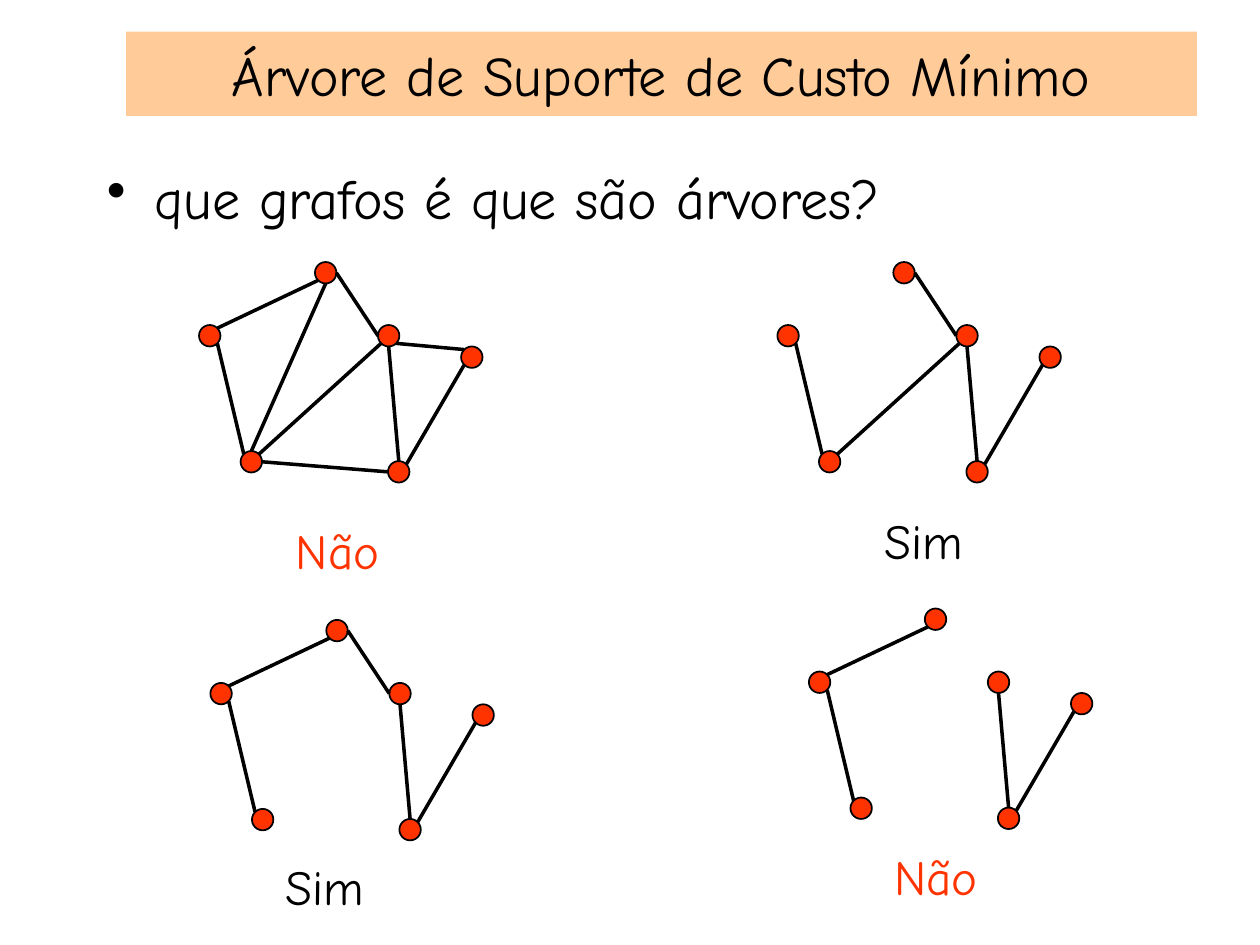
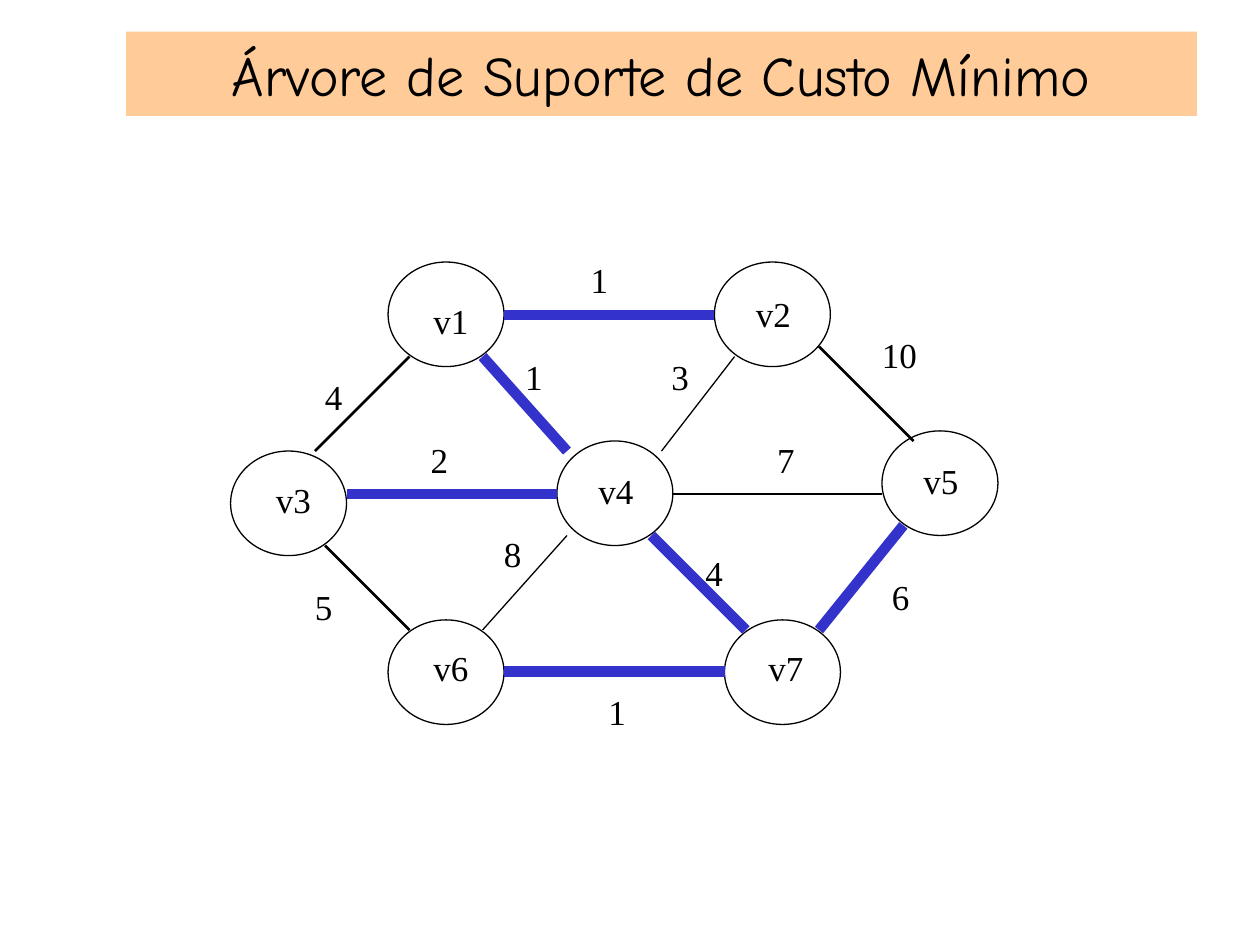
from dataclasses import dataclass

from lxml import etree
from pptx import Presentation
from pptx import util as u
from pptx.dml.color import RGBColor
from pptx.enum import shapes, text
from pptx.oxml.ns import qn


@dataclass(frozen=True)
class Theme:
    ink: str = "000000"
    band: str = "FFCC99"
    red: str = "FF3300"
    blue: str = "3333CC"
    comic: str = "Comic Neue"
    serif: str = "Times New Roman"
    heading: int = 32
    verdict: int = 28
    label: int = 20
    thin: float = 0.75
    outline: float = 1
    medium: float = 1.5
    edge: float = 2
    tree: float = 6


THEME = Theme()
TITLE = "Árvore de Suporte de Custo Mínimo"


def apply(target, formats):
    for key, value in formats.items():
        setattr(target, key, value)


def inches(*values):
    return [u.Inches(value) for value in values]


class Deck:
    def __init__(self, theme):
        self.theme = theme
        self.presentation = Presentation()
        apply(self.presentation, {"slide_width": u.Inches(10), "slide_height": u.Inches(7.5)})
        self.slide = None
        self.canvas = None

    def add_slide(self, title):
        self.slide = self.presentation.slides.add_slide(self.presentation.slide_layouts[5])
        self.canvas = self.slide.shapes
        heading = self.canvas.title
        apply(heading, dict(zip(("left", "top", "width", "height"), inches(1, 0.25, 8.5, 0.67))))
        heading.fill.solid()
        heading.fill.fore_color.rgb = RGBColor.from_string(self.theme.band)
        apply(heading.text_frame, {
            "text": title,
            "word_wrap": True,
            "auto_size": text.MSO_AUTO_SIZE.NONE,
            "vertical_anchor": text.MSO_ANCHOR.MIDDLE,
        })
        paragraph = heading.text_frame.paragraphs[0]
        paragraph.alignment = text.PP_ALIGN.CENTER
        self.style(paragraph, self.theme.heading)

    def start_group(self):
        self.canvas = self.slide.shapes.add_group_shape().shapes

    def end_group(self):
        self.canvas = self.slide.shapes

    def style(self, paragraph, size, color=None, font=None):
        apply(paragraph.font, {"size": u.Pt(size), "name": font or self.theme.comic})
        paragraph.font.color.rgb = RGBColor.from_string(color or self.theme.ink)

    def caption(self, words, box, size, color=None, font=None, wrap=True, bullet=False):
        frame = self.canvas.add_textbox(*inches(*box)).text_frame
        apply(frame, {
            "text": words,
            "word_wrap": wrap,
            "auto_size": text.MSO_AUTO_SIZE.NONE if bullet else text.MSO_AUTO_SIZE.SHAPE_TO_FIT_TEXT,
        })
        paragraph = frame.paragraphs[0]
        if bullet:
            properties = paragraph._p.get_or_add_pPr()
            properties.set("marL", str(u.Inches(0.38)))
            properties.set("indent", str(-u.Inches(0.38)))
            etree.SubElement(properties, qn("a:buChar")).set("char", "•")
        self.style(paragraph, size, color, font)

    def label(self, words, left, top):
        width = 0.34 if len(words) == 1 else 0.48
        self.caption(words, (left, top, width, 0.44), self.theme.label,
                     font=self.theme.serif, wrap=False)

    def node(self, kind, box, width, fill=None):
        node = self.canvas.add_shape(kind, *inches(*box))
        node.shadow.inherit = False
        if fill:
            node.fill.solid()
            node.fill.fore_color.rgb = RGBColor.from_string(fill)
        else:
            node.fill.background()
        self.stroke(node.line, self.theme.ink, width)

    def edge(self, start, end, width, color=None):
        edge = self.canvas.add_connector(shapes.MSO_CONNECTOR.STRAIGHT, *inches(*start, *end))
        self.stroke(edge.line, color or self.theme.ink, width)
        etree.SubElement(edge._element.spPr, qn("a:effectLst"))

    def stroke(self, line, color, width):
        line.color.rgb = RGBColor.from_string(color)
        line.width = u.Pt(width)

    def save(self):
        self.presentation.save("out.pptx")


DOT = 0.17
DOTS = {"a": (0, 0.5), "b": (0.92, 0), "c": (0.33, 1.5),
        "d": (2.08, 0.67), "e": (1.42, 0.5), "f": (1.5, 1.58)}
EDGE_SIDES = {"ab": ("ne", "sw"), "be": ("e", "w"), "ed": ("se", "nw"),
              "df": ("sw", "ne"), "fc": ("w", "e"), "ca": ("nw", "se"),
              "cb": ("n", "s"), "fe": ("n", "s"), "ce": ("ne", "sw")}
GRAPHS = [
    ((1.58, 2.08), list(EDGE_SIDES), "Não", (2.25, 4.08)),
    ((6.17, 2.08), ["be", "df", "ca", "fe", "ce"], "Sim", (6.92, 4)),
    ((1.67, 4.92), ["be", "df", "ca", "fe", "ab"], "Sim", (2.17, 6.75)),
    ((6.42, 4.83), ["df", "ca", "fe", "ab"], "Não", (7, 6.67)),
]

VERTICES = {
    "v1": ((3.08, 2.08), (3.34, 2.33)),
    "v2": ((5.67, 2.08), (5.9, 2.27)),
    "v3": ((1.83, 3.58), (2.09, 3.75)),
    "v4": ((4.42, 3.5), (4.65, 3.68)),
    "v5": ((7, 3.42), (7.23, 3.6)),
    "v6": ((3.08, 4.92), (3.34, 5.08)),
    "v7": ((5.75, 4.92), (6, 5.08)),
}
TREE = (THEME.tree, THEME.blue)
MEDIUM = (THEME.medium, THEME.ink)
THIN = (THEME.thin, THEME.ink)
WEIGHTED_EDGES = [
    ((4, 2.5), (5.67, 2.5), TREE, "1", (4.59, 2)),
    ((6.5, 2.75), (7.25, 3.5), MEDIUM, "10", (6.9, 2.6)),
    ((7.17, 4.17), (6.5, 5), TREE, "6", (6.98, 4.52)),
    ((4.42, 3.92), (2.75, 3.92), TREE, "2", (3.32, 3.43)),
    ((3.83, 2.83), (4.5, 3.58), TREE, "1", (4.07, 2.77)),
    ((5.83, 2.83), (5.25, 3.58), THIN, "3", (5.23, 2.77)),
    ((4.5, 4.25), (3.83, 5), THIN, "8", (3.9, 4.18)),
    ((5.17, 4.25), (5.92, 5), TREE, "4", (5.5, 4.33)),
    ((5.75, 5.33), (4, 5.33), TREE, "1", (4.73, 5.43)),
    ((2.58, 4.33), (3.25, 5), MEDIUM, "5", (2.4, 4.6)),
    ((2.5, 3.58), (3.25, 2.83), MEDIUM, "4", (2.48, 2.93)),
    ((5.33, 3.92), (7, 3.92), THIN, "7", (6.07, 3.43)),
]


def rim_point(origin, dot, side):
    radius = DOT / 2 * (0.71 if len(side) == 2 else 1)
    across = ("e" in side) - ("w" in side)
    down = ("s" in side) - ("n" in side)
    return [start + offset + DOT / 2 + step * radius
            for start, offset, step in zip(origin, DOTS[dot], (across, down))]


def draw_graph(deck, origin, edges):
    deck.start_group()
    for across, down in DOTS.values():
        deck.node(shapes.MSO_SHAPE.FLOWCHART_CONNECTOR,
                  (origin[0] + across, origin[1] + down, DOT, DOT),
                  deck.theme.outline, deck.theme.red)
    for edge in edges:
        start, end = (rim_point(origin, dot, side)
                      for dot, side in zip(edge, EDGE_SIDES[edge]))
        deck.edge(start, end, deck.theme.edge)
    deck.end_group()


def tree_question(deck):
    deck.add_slide(TITLE)
    deck.caption("que grafos é que são árvores?", (0.75, 1.25, 8.5, 5.42),
                 deck.theme.heading, bullet=True)
    for origin, edges, verdict, place in GRAPHS:
        draw_graph(deck, origin, edges)
        color = deck.theme.red if verdict == "Não" else deck.theme.ink
        deck.caption(verdict, (*place, 1.67, 0.57), deck.theme.verdict, color)


def minimum_tree(deck):
    deck.add_slide(TITLE)
    for name, (corner, place) in VERTICES.items():
        deck.node(shapes.MSO_SHAPE.OVAL, (*corner, 0.92, 0.83), deck.theme.thin)
        deck.label(name, *place)
    for start, end, stroke, weight, place in WEIGHTED_EDGES:
        deck.edge(start, end, *stroke)
        deck.label(weight, *place)


def main():
    deck = Deck(THEME)
    tree_question(deck)
    minimum_tree(deck)
    deck.save()


if __name__ == "__main__":
    main()
